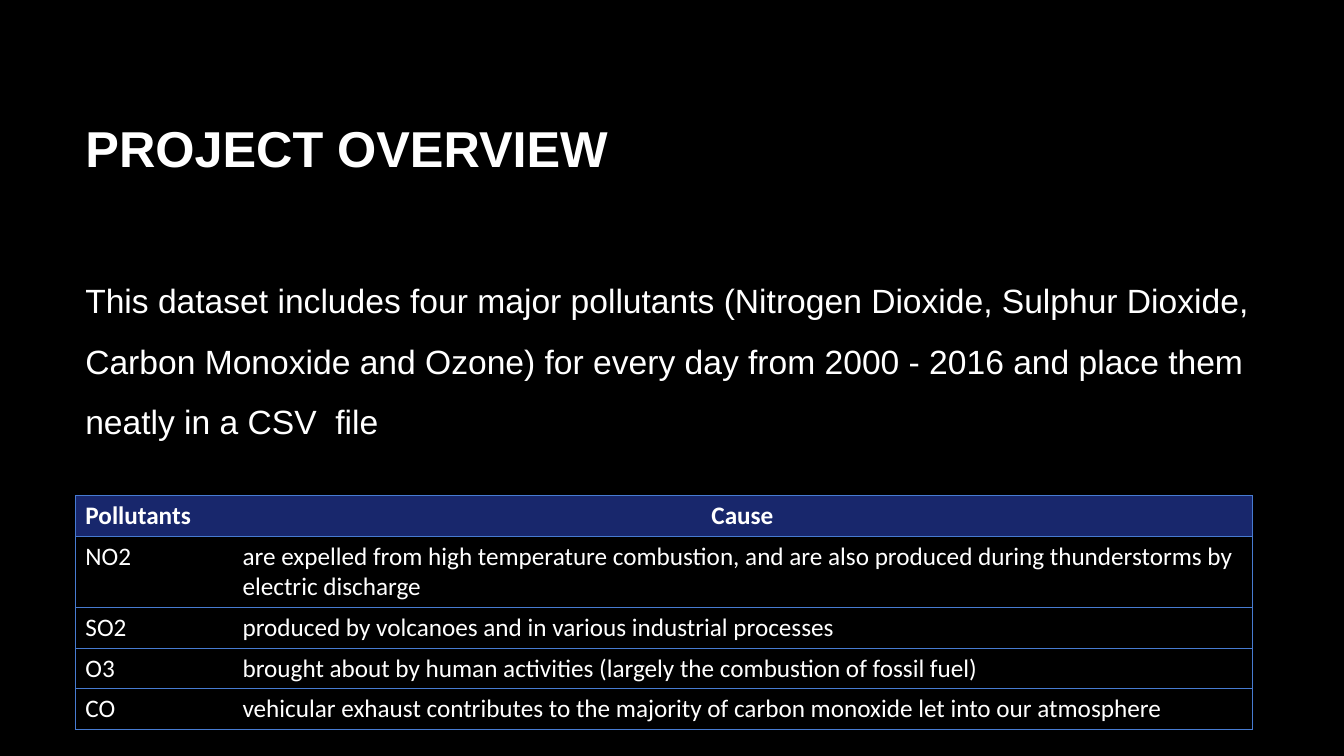
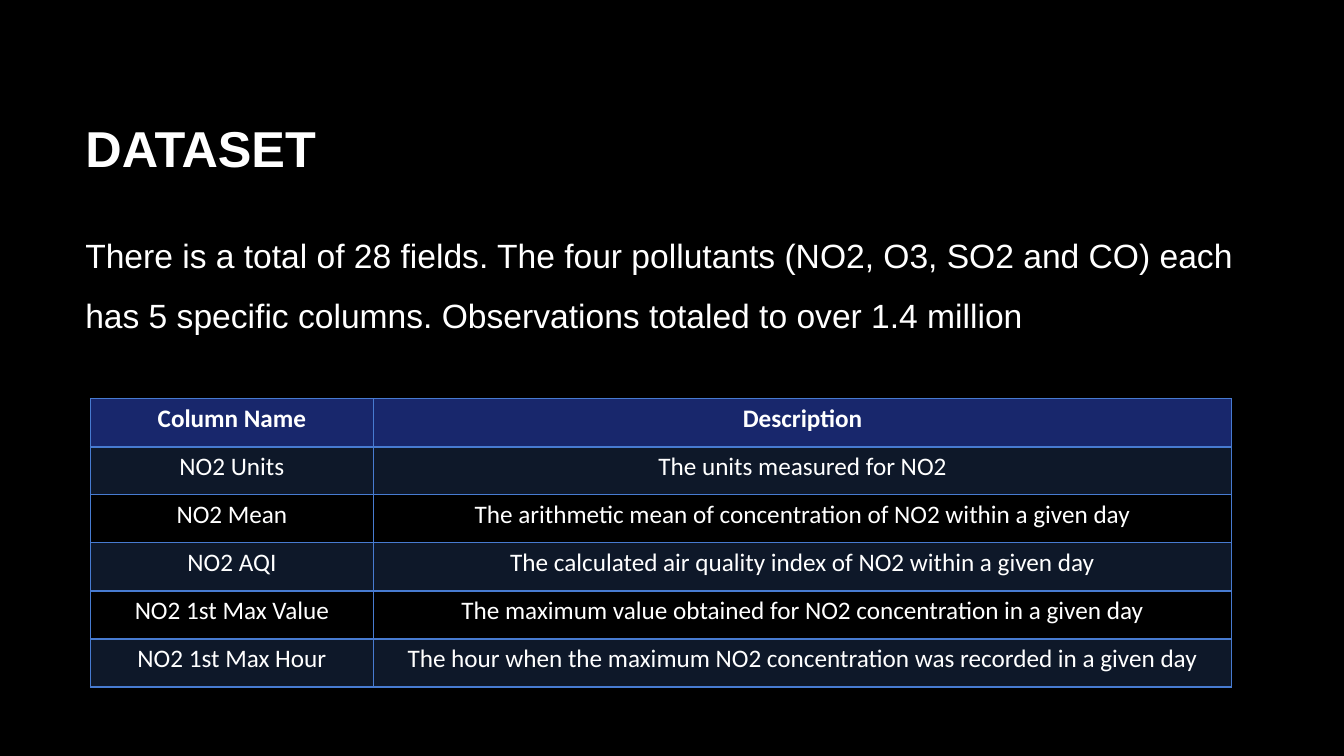
from lxml import etree
from pptx import Presentation
from pptx.dml.color import RGBColor
from pptx.enum.text import MSO_ANCHOR, PP_ALIGN
from pptx.oxml.ns import qn
from pptx.util import Cm, Pt

LEFT, CENTER = PP_ALIGN.LEFT, PP_ALIGN.CENTER
TOP, MIDDLE = MSO_ANCHOR.TOP, MSO_ANCHOR.MIDDLE
TITLE_ONLY = 5

COLORS = {
    "background": "000000",
    "text": "FFFFFF",
    "header": "18276C",
    "accent": "477BD1",
}
HEADING_FONT, TABLE_FONT = "Arial", "Calibri"
BAND_OPACITY = 20  # percent
TITLE_BOX = (1.9, 1.7, 28.14, 4.04)

POLLUTANTS = [
    ("Pollutants", "Cause"),
    ("NO2", "are expelled from high temperature combustion, and are also produced during thunderstorms by electric discharge"),
    ("SO2", "produced by volcanoes and in various industrial processes"),
    ("O3", "brought about by human activities (largely the combustion of fossil fuel)"),
    ("CO", "vehicular exhaust contributes to the majority of carbon monoxide let into our atmosphere"),
]
FIELDS = [
    ("Column Name", "Description"),
    ("NO2 Units", "The units measured for NO2"),
    ("NO2 Mean", "The arithmetic mean of concentration of NO2 within a given day"),
    ("NO2 AQI", "The calculated air quality index of NO2 within a given day"),
    ("NO2 1st Max Value", "The maximum value obtained for NO2 concentration in a given day"),
    ("NO2 1st Max Hour", "The hour when the maximum NO2 concentration was recorded in a given day"),
]


def color(name):
    return RGBColor.from_string(COLORS[name])


def write(paragraph, text, font_name, size, bold=False, alignment=LEFT):
    paragraph.alignment = alignment
    run = paragraph.add_run()
    run.text = text
    run.font.name = font_name
    run.font.size = Pt(size)
    run.font.bold = bold
    run.font.color.rgb = color("text")


def add_titled_slide(presentation, title):
    slide = presentation.slides.add_slide(presentation.slide_layouts[TITLE_ONLY])
    shape = slide.shapes.title
    shape.left, shape.top, shape.width, shape.height = map(Cm, TITLE_BOX)
    shape.text_frame.vertical_anchor = MIDDLE
    write(shape.text_frame.paragraphs[0], title, HEADING_FONT, 36, bold=True)
    return slide


def add_summary(slide, text, box):
    frame = slide.shapes.add_textbox(*map(Cm, box)).text_frame
    frame.word_wrap = True
    frame.vertical_anchor = TOP
    paragraph = frame.paragraphs[0]
    paragraph.line_spacing = 1.5
    write(paragraph, text, HEADING_FONT, 24)


def set_borders(cell, widths):
    """Draw the left, right, top and bottom borders; a width of 0 hides one."""
    properties = cell._tc.get_or_add_tcPr()
    for index, (side, width) in enumerate(zip("LRTB", widths)):
        line = etree.Element(qn(f"a:ln{side}"), w=str(Pt(width)))
        if width:
            fill = etree.SubElement(line, qn("a:solidFill"))
            etree.SubElement(fill, qn("a:srgbClr"), val=COLORS["accent"])
        else:
            etree.SubElement(line, qn("a:noFill"))
        properties.insert(index, line)


def fill_cell(cell, is_header, is_band):
    if not (is_header or is_band):
        cell.fill.background()
        return
    cell.fill.solid()
    cell.fill.fore_color.rgb = color("header" if is_header else "accent")
    if is_band:
        tint = cell._tc.tcPr.find(".//" + qn("a:srgbClr"))
        etree.SubElement(tint, qn("a:alpha"), val=str(BAND_OPACITY * 1000))


def add_grid(slide, rows, position, column_widths, row_heights, line_width,
             header_line, inner_line, alignments, banded):
    """Two-column table; alignments maps (is_header, column) to an alignment."""
    left, top = position
    table = slide.shapes.add_table(
        len(rows), len(column_widths), Cm(left), Cm(top),
        Cm(sum(column_widths)), Cm(sum(row_heights))).table
    table.first_row = table.horz_banding = False
    for column, width in zip(table.columns, column_widths):
        column.width = Cm(width)
    last_column = len(column_widths) - 1
    for row_index, (texts, height) in enumerate(zip(rows, row_heights)):
        table.rows[row_index].height = Cm(height)
        is_header = row_index == 0
        for column_index, text in enumerate(texts):
            cell = table.cell(row_index, column_index)
            write(cell.text_frame.paragraphs[0], text, TABLE_FONT, 18, is_header,
                  alignments.get((is_header, column_index), CENTER))
            fill_cell(cell, is_header, banded and row_index % 2 == 1)
            set_borders(cell, (
                line_width if column_index == 0 else inner_line,
                line_width if column_index == last_column else inner_line,
                header_line if row_index == 1 else line_width,
                header_line if is_header else line_width))


def build_overview(presentation):
    slide = add_titled_slide(presentation, "PROJECT OVERVIEW")
    add_summary(
        slide,
        "This dataset includes four major pollutants (Nitrogen Dioxide, Sulphur Dioxide, "
        "Carbon Monoxide and Ozone) for every day from 2000 - 2016 and place them neatly in a CSV  file",
        (1.9, 6.43, 30.12, 4.9))
    left_aligned = {(True, 0): LEFT, (False, 0): LEFT, (False, 1): LEFT}
    add_grid(slide, POLLUTANTS, (1.9, 12.49), (3.96, 25.7),
             (1.02, 1.79, 1.03, 1.03, 1.03), line_width=0.75, header_line=0.75,
             inner_line=0, alignments=left_aligned, banded=False)


def build_dataset(presentation):
    slide = add_titled_slide(presentation, "DATASET")
    add_summary(
        slide,
        "There is a total of 28 fields. The four pollutants (NO2, O3, SO2 and CO) each "
        "has 5 specific columns. Observations totaled to over 1.4 million",
        (1.9, 5.28, 30.12, 3.4))
    add_grid(slide, FIELDS, (2.28, 10.05), (7.13, 21.63), (1.21,) * len(FIELDS),
             line_width=1, header_line=2, inner_line=1, alignments={}, banded=True)


def main():
    presentation = Presentation()
    presentation.slide_width, presentation.slide_height = Cm(33.87), Cm(19.05)
    # Shared black background
    background = presentation.slide_master.background.fill
    background.solid()
    background.fore_color.rgb = color("background")
    build_overview(presentation)
    build_dataset(presentation)
    presentation.save("out.pptx")


if __name__ == "__main__":
    main()
